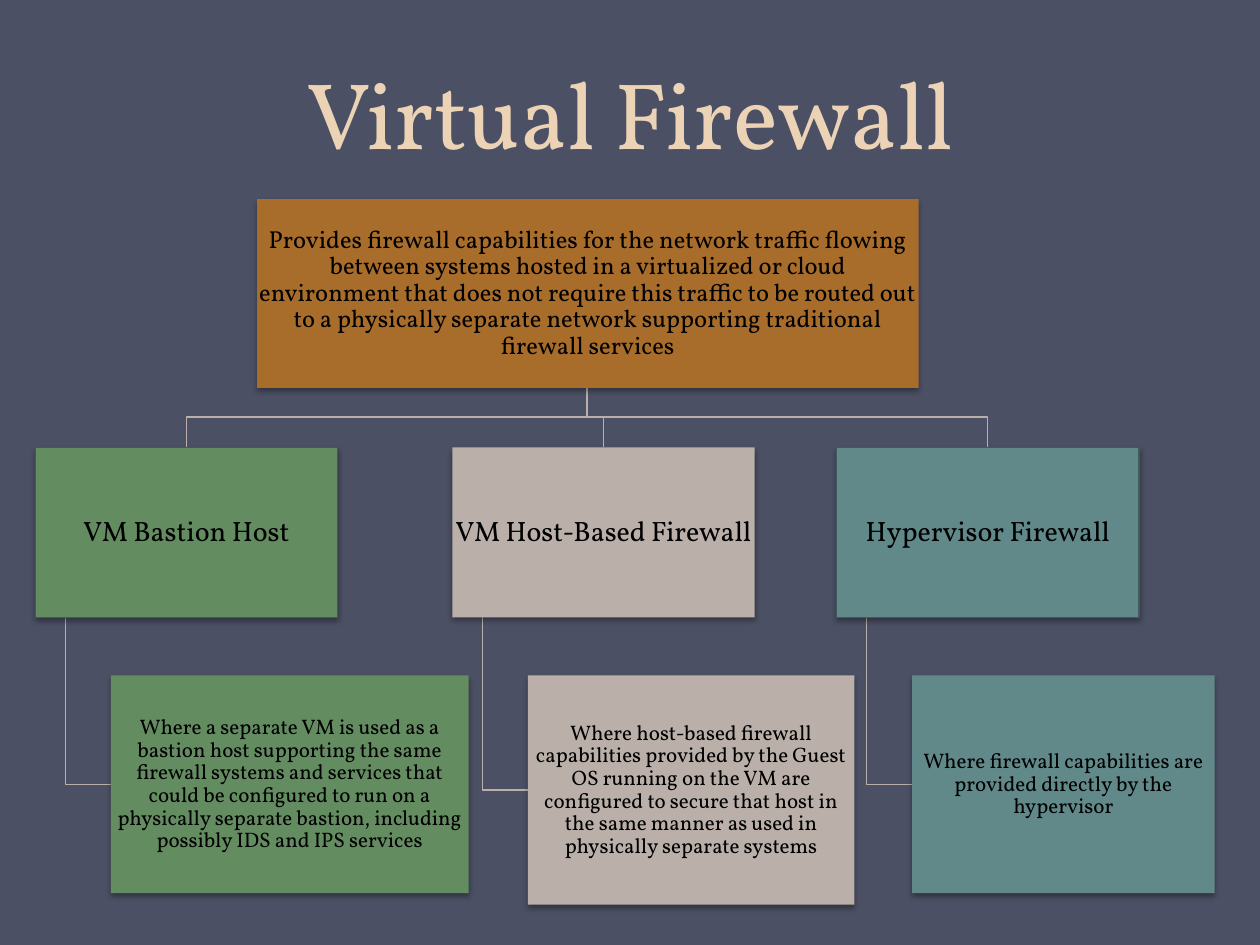
from lxml.etree import SubElement
from pptx import Presentation
from pptx.dml.color import RGBColor
from pptx.enum.shapes import MSO_SHAPE
from pptx.enum.text import MSO_ANCHOR, PP_ALIGN
from pptx.oxml.ns import qn
from pptx.util import Inches, Pt

COLORS = {
    "background": "4B5064", "title": "EDD3B6", "text": "000000", "link": "BAB0A9",
    "overview": "A96D2B", "bastion": "648C61", "bastion_edge": "435E40",
    "host": "BAB0A9", "hypervisor": "61898A", "hypervisor_edge": "415B5C",
}


class Deck:
    """Holds the style and the current slide."""

    font_name = "Vollkorn"

    def __init__(self):
        self.presentation = Presentation()
        self.presentation.slide_width = Inches(10)
        self.presentation.slide_height = Inches(7.5)
        self.slide = self.presentation.slides.add_slide(self.presentation.slide_layouts[5])
        background = self.slide.background.fill
        background.solid()
        background.fore_color.rgb = self.color("background")

    def color(self, key):
        return RGBColor.from_string(COLORS[key])

    def set_text(self, frame, text, size, color, anchor, spacing):
        frame.text = text
        frame.word_wrap = True
        frame.vertical_anchor = anchor
        paragraph = frame.paragraphs[0]
        paragraph.alignment = PP_ALIGN.CENTER
        paragraph.line_spacing = spacing
        font = paragraph.runs[0].font
        font.name, font.size = self.font_name, Pt(size)
        font.color.rgb = self.color(color)

    def title(self, text):
        heading = self.slide.shapes.title
        heading.left, heading.top = Inches(0.5), Inches(0)
        heading.width, heading.height = Inches(9), Inches(1.39)
        self.set_text(heading.text_frame, text, 54, "title", MSO_ANCHOR.BOTTOM, Pt(58))

    def link(self, *points):
        start, *corners = [(Inches(x), Inches(y)) for x, y in points]
        builder = self.slide.shapes.build_freeform(*start)
        builder.add_line_segments(corners, close=False)
        elbow = builder.convert_to_shape()
        elbow.shadow.inherit = False
        elbow.fill.background()
        elbow.line.color.rgb = self.color("link")
        elbow.line.width = Pt(0.75)

    def box(self, left, top, width, height, text, size, fill, edge=None):
        card = self.slide.shapes.add_shape(
            MSO_SHAPE.RECTANGLE, Inches(left), Inches(top), Inches(width), Inches(height))
        card.fill.solid()
        card.fill.fore_color.rgb = self.color(fill)
        if edge:
            card.line.color.rgb = self.color(edge)
            card.line.width = Pt(0.75)
        else:
            card.line.fill.background()
        self.shadow(card)
        frame = card.text_frame
        frame.margin_left = frame.margin_right = Inches(0.01)
        frame.margin_top = frame.margin_bottom = Inches(0.01)
        self.set_text(frame, text, size, "text", MSO_ANCHOR.MIDDLE, 0.9)

    def shadow(self, card):
        card.shadow.inherit = False
        effects = card._element.spPr.find(qn("a:effectLst"))
        outer = SubElement(effects, qn("a:outerShdw"), blurRad=str(Pt(3.1)),
                           dist=str(Pt(1.8)), dir="5400000", rotWithShape="0")
        black = SubElement(outer, qn("a:srgbClr"), val=COLORS["text"])
        SubElement(black, qn("a:alpha"), val="35000")


def main():
    deck = Deck()
    deck.title("Virtual Firewall")

    overview_center, overview_bottom, branch_y = 4.66, 3.08, 3.31
    type_top, type_width, type_height = 3.55, 2.4, 1.35
    detail_top, stem_inset, detail_inset = 5.36, 0.24, 0.6
    firewalls = [
        (0.28, "VM Bastion Host", 2.84, 1.73, "bastion", "bastion_edge",
         "Where a separate VM is used as a bastion host supporting the same firewall systems "
         "and services that could be configured to run on a physically separate bastion, "
         "including possibly IDS and IPS services"),
        (3.59, "VM Host-Based Firewall", 2.59, 1.82, "host", None,
         "Where host-based firewall capabilities provided by the Guest OS running on the VM "
         "are configured to secure that host in the same manner as used in physically "
         "separate systems"),
        (6.64, "Hypervisor Firewall", 2.4, 1.73, "hypervisor", "hypervisor_edge",
         "Where firewall capabilities are provided directly by the hypervisor"),
    ]

    for left, _, _, detail_height, *_ in reversed(firewalls):
        stem_x, detail_middle = left + stem_inset, detail_top + detail_height / 2
        deck.link((stem_x, type_top + type_height), (stem_x, detail_middle),
                  (left + detail_inset, detail_middle))
        type_center = left + type_width / 2
        deck.link((overview_center, overview_bottom), (overview_center, branch_y),
                  (type_center, branch_y), (type_center, type_top))

    deck.box(2.04, 1.58, 5.25, 1.5,
             "Provides firewall capabilities for the network traffic flowing between systems "
             "hosted in a virtualized or cloud environment that does not require this traffic "
             "to be routed out to a physically separate network supporting traditional "
             "firewall services", 14, "overview")
    for left, name, detail_width, detail_height, fill, edge, detail in firewalls:
        deck.box(left, type_top, type_width, type_height, name, 16, fill, edge)
        deck.box(left + detail_inset, detail_top, detail_width, detail_height, detail, 12, fill)

    deck.presentation.save("out.pptx")


if __name__ == "__main__":
    main()
